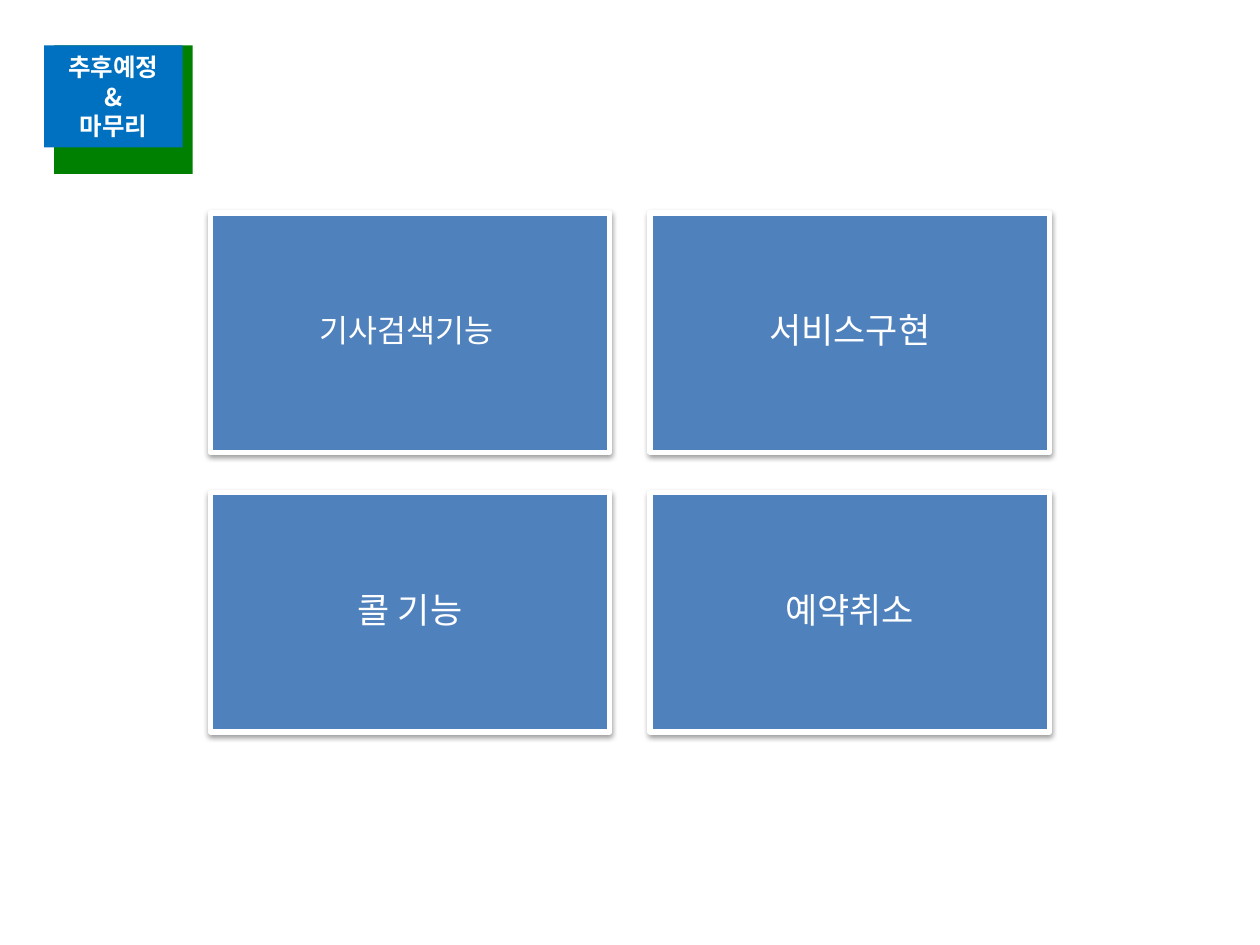
"""Build the closing slide: a title badge and a two-by-two grid of planned features."""
from dataclasses import dataclass

import lxml.etree
import pptx
import pptx.dml.color
import pptx.enum.shapes
import pptx.enum.text
import pptx.oxml.ns
import pptx.slide
import pptx.text.text
import pptx.util

COLORS = {"green": "008000", "blue": "0070C0", "card": "4F81BD", "white": "FFFFFF", "shadow": "000000"}
FONT = "Noto Sans CJK KR"
WIDTH = pptx.util.Inches(10)
HEIGHT = pptx.util.Inches(7.5)
GRID_LEFT, GRID_TOP = 16.7, 22.53
CARD_WIDTH, CARD_HEIGHT = 31.7, 25.33
COLUMN_STEP, ROW_STEP = 34.9, 29.6


@dataclass(frozen=True)
class Block:
    left: float
    top: float
    width: float
    height: float
    color: str
    lines: tuple[str, ...] = ()
    size: int = 14
    bold: bool = False
    framed: bool = False
    margin: float = 0.05


@dataclass(frozen=True)
class Card:
    column: int
    row: int
    label: str
    size: int = 20
    margin: float = 0.08

    def block(self) -> Block:
        return Block(GRID_LEFT + self.column * COLUMN_STEP, GRID_TOP + self.row * ROW_STEP,
                     CARD_WIDTH, CARD_HEIGHT, "card", (self.label,), self.size,
                     framed=True, margin=self.margin)


BADGE = (
    Block(4.3, 4.8, 11, 13.6, "green"),
    Block(3.5, 4.8, 11, 10.8, "blue", ("추후예정", "&", "마무리"), bold=True),
)
CARDS = (
    Card(0, 0, "기사검색기능 ", 18, 0.07),
    Card(1, 0, "서비스구현"),
    Card(0, 1, "콜 기능"),
    Card(1, 1, "예약취소"),
)


def rgb(name: str) -> pptx.dml.color.RGBColor:
    return pptx.dml.color.RGBColor.from_string(COLORS[name])


def add_shadow(box) -> None:
    qn = pptx.oxml.ns.qn
    effects = box._element.spPr.find(qn("a:effectLst"))
    shadow = lxml.etree.SubElement(
        effects, qn("a:outerShdw"), blurRad=str(pptx.util.Pt(3.1)),
        dist=str(pptx.util.Pt(1.6)), dir="5400000", rotWithShape="0")
    color = lxml.etree.SubElement(shadow, qn("a:srgbClr"), val=COLORS["shadow"])
    lxml.etree.SubElement(color, qn("a:alpha"), val="38000")


def style_paragraph(para: pptx.text.text._Paragraph, block: Block) -> None:
    qn = pptx.oxml.ns.qn
    para.alignment = pptx.enum.text.PP_ALIGN.CENTER
    if block.framed:
        para.line_spacing = 0.9
    para.font.name = FONT
    para.font.size = pptx.util.Pt(block.size)
    para.font.bold = block.bold
    para.font.color.rgb = rgb("white")
    defaults = para._p.pPr.find(qn("a:defRPr"))
    lxml.etree.SubElement(defaults, qn("a:ea"), typeface=FONT)


def add_block(page: pptx.slide.Slide, block: Block) -> None:
    box = page.shapes.add_shape(
        pptx.enum.shapes.MSO_SHAPE.RECTANGLE,
        round(WIDTH * block.left / 100), round(HEIGHT * block.top / 100),
        round(WIDTH * block.width / 100), round(HEIGHT * block.height / 100))
    box.fill.solid()
    box.fill.fore_color.rgb = rgb(block.color)
    box.shadow.inherit = False
    if block.framed:
        box.line.color.rgb = rgb("white")
        box.line.width = pptx.util.Pt(3)
        add_shadow(box)
    else:
        box.line.fill.background()
    if not block.lines:
        return
    frame = box.text_frame
    frame.word_wrap = True
    frame.vertical_anchor = pptx.enum.text.MSO_ANCHOR.MIDDLE
    frame.margin_top = frame.margin_bottom = pptx.util.Inches(block.margin)
    frame.margin_left = frame.margin_right = pptx.util.Inches(block.margin)
    frame.text = "\n".join(block.lines)
    for para in frame.paragraphs:
        style_paragraph(para, block)


def main() -> None:
    deck = pptx.Presentation()
    deck.slide_width, deck.slide_height = WIDTH, HEIGHT
    page = deck.slides.add_slide(deck.slide_layouts[6])
    for block in (*BADGE, *(card.block() for card in CARDS)):
        add_block(page, block)
    deck.save("out.pptx")


if __name__ == "__main__":
    main()
